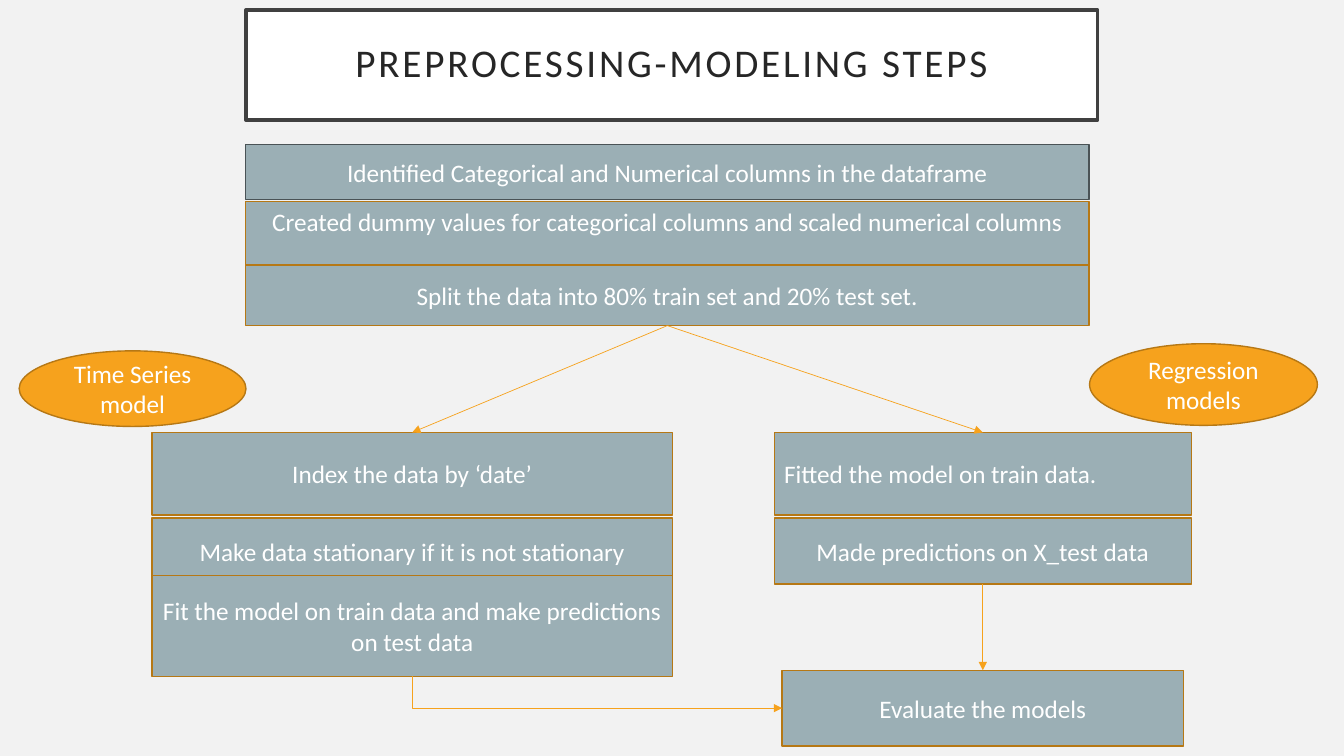
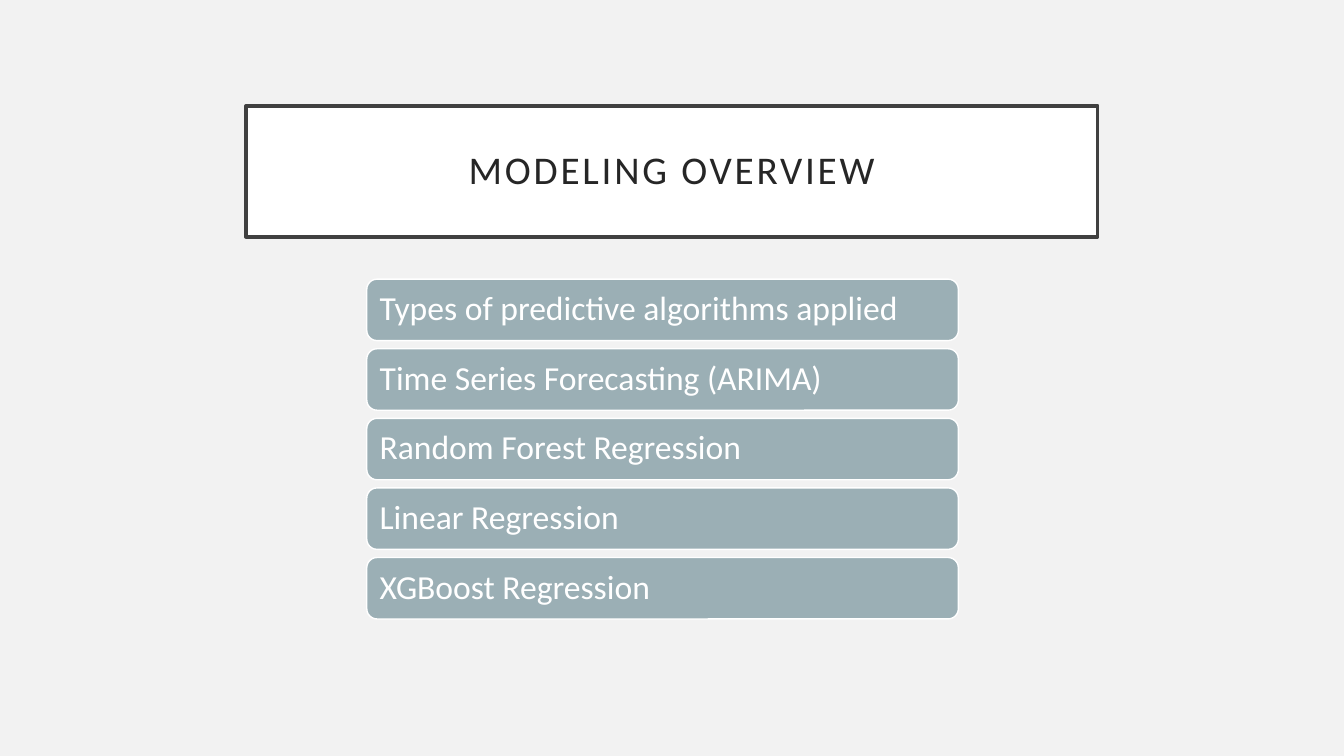
from lxml import etree
from pptx import Presentation
from pptx.dml.color import RGBColor
from pptx.enum import shapes, text
from pptx.oxml import ns
from pptx.util import Pt

# Shared look
FONT = "Calibri"
BACKGROUND, WHITE = "F2F2F2", "FFFFFF"
TITLE_TEXT, TITLE_BORDER = "262626", "404040"
STEP_FILL, STEP_BORDER, FIRST_BORDER = "9BAFB5", "B67815", "4A5356"
ACCENT = "F6A21D"
LEFT, CENTER = text.PP_ALIGN.LEFT, text.PP_ALIGN.CENTER
RECTANGLE = shapes.MSO_SHAPE.RECTANGLE
TOP_SIDE, LEFT_SIDE, BOTTOM_SIDE = 0, 1, 2


def color(value):
    return RGBColor.from_string(value)


def add_box(slide, wording, area, kind=RECTANGLE, fill=STEP_FILL,
            border=STEP_BORDER, border_width=1, size=18, ink=WHITE,
            align=CENTER, inset=(7.2, 3.6), spacing=None):
    """Add a filled shape with one paragraph and return it."""
    shape = slide.shapes.add_shape(kind, *(Pt(length) for length in area))
    shape.shadow.inherit = False
    shape.fill.solid()
    shape.fill.fore_color.rgb = color(fill)
    shape.line.color.rgb = color(border)
    shape.line.width = Pt(border_width)

    frame = shape.text_frame
    frame.word_wrap = True
    frame.vertical_anchor = text.MSO_ANCHOR.MIDDLE
    frame.margin_left = frame.margin_right = Pt(inset[0])
    frame.margin_top = frame.margin_bottom = Pt(inset[1])
    paragraph = frame.paragraphs[0]
    paragraph.alignment = align
    paragraph.line_spacing = spacing
    run = paragraph.add_run()
    run.text = wording
    run.font.name = FONT
    run.font.size = Pt(size)
    run.font.color.rgb = color(ink)
    return shape


def add_title(slide, wording, top, height):
    title = add_box(slide, wording, (175.7, top, 608.4, height), fill=WHITE,
                    border=TITLE_BORDER, border_width=2.5, size=28,
                    ink=TITLE_TEXT, inset=(14.4, 14.4), spacing=0.9)
    run = title.text_frame.paragraphs[0].runs[0]
    run.font._element.set("spc", "200")


def add_column(slide, left, width, steps):
    """Add boxes that share their sides; a step is wording, top, height."""
    return [add_box(slide, wording, (left, top, width, height))
            for wording, top, height in steps]


def add_arrow(slide, start, start_side, end, end_side,
              kind=shapes.MSO_CONNECTOR.STRAIGHT):
    arrow = slide.shapes.add_connector(kind, 0, 0, 0, 0)
    arrow.begin_connect(start, start_side)
    arrow.end_connect(end, end_side)
    arrow.line.color.rgb = color(ACCENT)
    arrow.line.width = Pt(0.5)
    etree.SubElement(arrow.line._get_or_add_ln(), ns.qn("a:tailEnd"),
                     type="triangle")
    etree.SubElement(arrow._element.spPr, ns.qn("a:effectLst"))
    return arrow


def add_corner_arrow(slide, start, end):
    """Go down from the start, then right to the end, with one bend."""
    arrow = add_arrow(slide, start, BOTTOM_SIDE, end, LEFT_SIDE,
                      shapes.MSO_CONNECTOR.ELBOW)
    across, down = arrow.width, arrow.height
    # The one-bend preset is turned a quarter, so its frame is turned too
    arrow.left += (across - down) // 2
    arrow.top += (down - across) // 2
    arrow.width, arrow.height = down, across
    properties = arrow._element.spPr
    frame = properties.find(ns.qn("a:xfrm"))
    frame.set("rot", "16200000")
    frame.set("flipH", "1")
    properties.find(ns.qn("a:prstGeom")).set("prst", "bentConnector2")


def build_steps(slide):
    add_title(slide, "PREPROCESSING-MODELING STEPS", 7.2, 78.5)

    # Common preparation
    identify, encode, split = add_column(slide, 175.4, 602.6, [
        ("Identified Categorical and Numerical columns in the dataframe",
         103, 39.6),
        ("Created dummy values for categorical columns and scaled numerical "
         "columns", 144, 47.5),
        ("Split the data into 80% train set and 20% test set.", 189.4, 43.2),
    ])
    identify.line.color.rgb = color(FIRST_BORDER)
    encode.text_frame.vertical_anchor = text.MSO_ANCHOR.TOP

    # Two model branches
    fit, predict = add_column(slide, 553, 298, [
        ("Fitted the model on train data.", 308.9, 59),
        ("Made predictions on X_test data", 370.1, 47),
    ])
    fit.text_frame.paragraphs[0].alignment = LEFT
    index, _, forecast = add_column(slide, 108.7, 371.5, [
        ("Index the data by ‘date’", 308.9, 59),
        ("Make data stationary if it is not stationary", 370.1, 47),
        ("Fit the model on train data and make predictions on test data",
         411.1, 72),
    ])
    evaluate = add_box(slide, "Evaluate the models", (558.7, 478.8, 286.6, 54))

    # Branch labels
    for wording, area in [
        ("Time Series model", (13.7, 250.6, 162, 54)),
        ("Regression models", (778.3, 245.5, 162.7, 58.3)),
    ]:
        add_box(slide, wording, area, shapes.MSO_SHAPE.OVAL, fill=ACCENT)

    # Flow
    for start, end in [(split, index), (split, fit), (predict, evaluate)]:
        add_arrow(slide, start, BOTTOM_SIDE, end, TOP_SIDE)
    add_corner_arrow(slide, forecast, evaluate)


def build_overview(slide):
    add_title(slide, "MODELING OVERVIEW", 75.6, 93.6)
    first_top, pitch = 199.4, 49.7
    for row, wording in enumerate([
        "Types of predictive algorithms applied",
        "Time Series Forecasting (ARIMA)",
        "Random Forest Regression",
        "Linear Regression",
        "XGBoost Regression",
    ]):
        add_box(slide, wording, (262, first_top + row * pitch, 422.6, 43.9),
                shapes.MSO_SHAPE.ROUNDED_RECTANGLE, border=WHITE, size=24,
                align=LEFT, inset=(7.2, 7.2), spacing=0.9)


def main():
    presentation = Presentation()
    presentation.slide_width, presentation.slide_height = Pt(960), Pt(540)
    background = presentation.slide_master.background.fill
    background.solid()
    background.fore_color.rgb = color(BACKGROUND)
    blank = presentation.slide_layouts[6]
    for build in (build_steps, build_overview):
        build(presentation.slides.add_slide(blank))
    presentation.save("out.pptx")


if __name__ == "__main__":
    main()
